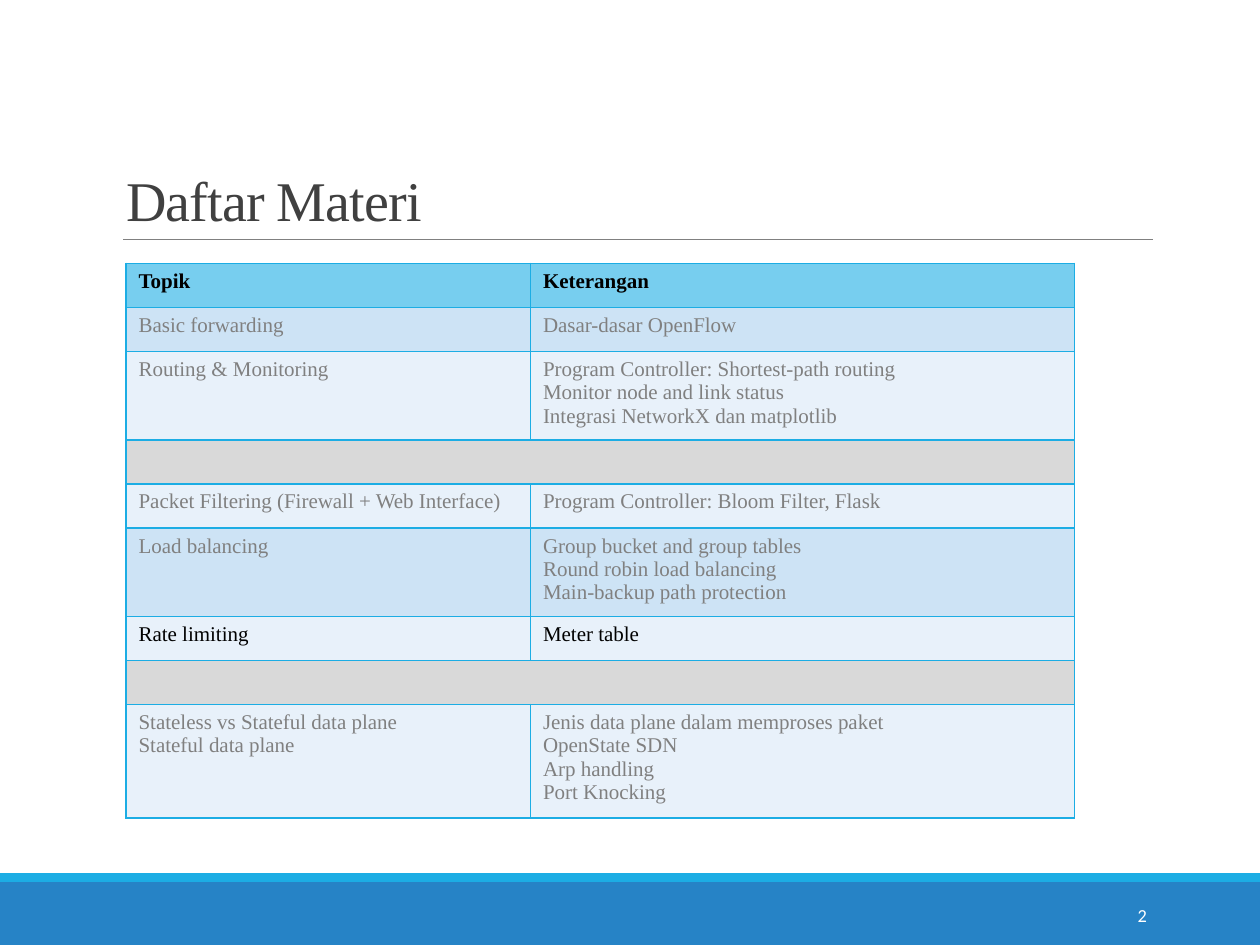
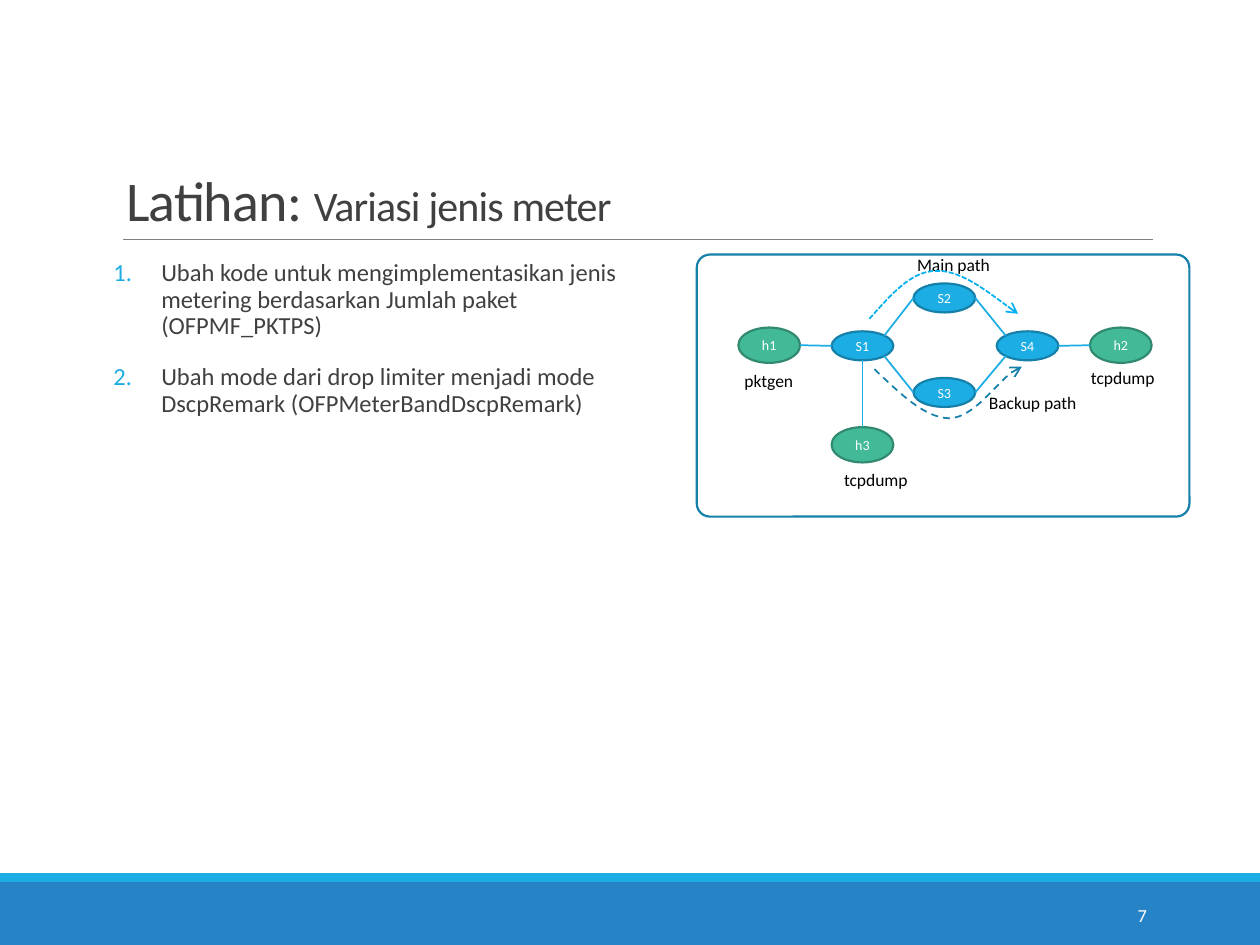
from typing import NamedTuple

from lxml.etree import SubElement
from pptx import Presentation
from pptx.dml.color import RGBColor
from pptx.enum.dml import MSO_LINE
from pptx.enum.shapes import MSO_CONNECTOR, MSO_SHAPE
from pptx.enum.text import MSO_ANCHOR, MSO_AUTO_SIZE, PP_ALIGN
from pptx.oxml.ns import qn
from pptx.util import Inches, Pt

BLUE, SKY, TEAL = "2683C6", "1CADE4", "42BA97"
DEEP_BLUE, DEEP_TEAL, PATH_BLUE = "1580A9", "318A70", "00B0F0"
DARK, GRAY, BLACK, WHITE = "404040", "808080", "000000", "FFFFFF"
HEADER_FILL, BAND_FILL, PALE_FILL, BREAK_FILL = "77CEEF", "CDE3F5", "E8F1FA", "D9D9D9"
SANS, SERIF = "Calibri", "Times New Roman"
DIAGONAL = 0.707
SITES = {
    "left": (-1, 0), "right": (1, 0), "bottom": (0, 1), "top": (0, -1),
    "upper left": (-DIAGONAL, -DIAGONAL), "upper right": (DIAGONAL, -DIAGONAL),
    "lower left": (-DIAGONAL, DIAGONAL), "lower right": (DIAGONAL, DIAGONAL),
}


class Span(NamedTuple):
    text: str
    size: float
    font: str = SANS


class Topic(NamedTuple):
    names: list[str]
    details: list[str]
    fill: str
    color: str = GRAY
    bold: bool = False


class Node(NamedTuple):
    name: str
    left: float
    top: float
    width: float = 0.49
    height: float = 0.23
    fill: str = SKY
    line: str = DEEP_BLUE

    def site(self, side: str) -> tuple[float, float]:
        across, down = SITES[side]
        return (self.left + self.width * (1 + across) / 2,
                self.top + self.height * (1 + down) / 2)


class Link(NamedTuple):
    start: str
    start_side: str
    end: str
    end_side: str


class Label(NamedTuple):
    text: str
    left: float
    top: float
    width: float


class Route(NamedTuple):
    points: list[tuple[float, float]]
    color: str
    dash: MSO_LINE


TOPICS = [
    Topic(["Topik"], ["Keterangan"], HEADER_FILL, BLACK, True),
    Topic(["Basic forwarding"], ["Dasar-dasar OpenFlow"], BAND_FILL),
    Topic(["Routing & Monitoring"],
          ["Program Controller: Shortest-path routing", "Monitor node and link status",
           "Integrasi NetworkX dan matplotlib"], PALE_FILL),
    Topic([], [], BREAK_FILL),
    Topic(["Packet Filtering (Firewall + Web Interface)"],
          ["Program Controller: Bloom Filter, Flask"], PALE_FILL),
    Topic(["Load balancing"],
          ["Group bucket and group tables", "Round robin load balancing",
           "Main-backup path protection"], BAND_FILL),
    Topic(["Rate limiting"], ["Meter table"], PALE_FILL, BLACK),
    Topic([], [], BREAK_FILL),
    Topic(["Stateless vs Stateful data plane", "Stateful data plane"],
          ["Jenis data plane dalam memproses paket", "OpenState SDN", "Arp handling",
           "Port Knocking"], PALE_FILL),
]
TASKS = [
    "Ubah kode untuk mengimplementasikan jenis metering berdasarkan Jumlah paket (OFPMF_PKTPS)",
    "Ubah mode dari drop limiter menjadi mode DscpRemark (OFPMeterBandDscpRemark)",
]
HOST = {"height": 0.28, "fill": TEAL, "line": DEEP_TEAL}
NODES = [
    Node("S1", 6.6, 2.63), Node("S2", 7.25, 2.25), Node("S3", 7.25, 3), Node("S4", 7.91, 2.63),
    Node("h1", 5.86, 2.6, **HOST), Node("h2", 8.65, 2.6, **HOST), Node("h3", 6.6, 3.39, **HOST),
]
LINKS = [
    Link("S1", "left", "h1", "right"), Link("S1", "upper right", "S2", "left"),
    Link("S1", "lower right", "S3", "left"), Link("S4", "upper left", "S2", "right"),
    Link("S4", "lower left", "S3", "right"), Link("h2", "left", "S4", "right"),
    Link("S1", "bottom", "h3", "top"),
]
LABELS = [
    Label("tcpdump", 6.6, 3.67, 0.72), Label("tcpdump", 8.56, 2.86, 0.72),
    Label("pktgen", 5.81, 2.89, 0.6), Label("Main path", 7.18, 1.97, 0.79),
    Label("Backup path", 7.75, 3.06, 0.91),
]
ROUTES = [
    Route([(6.9, 2.53), (7.07, 2.34), (7.23, 2.15), (7.43, 2.15),
           (7.63, 2.14), (7.96, 2.41), (8.08, 2.49)], PATH_BLUE, MSO_LINE.SQUARE_DOT),
    Route([(6.94, 2.93), (7.14, 3.12), (7.34, 3.32), (7.54, 3.32),
           (7.73, 3.31), (7.98, 2.94), (8.11, 2.91)], DEEP_BLUE, MSO_LINE.DASH),
]


def rgb(value: str) -> RGBColor:
    return RGBColor.from_string(value)


def add_span(para, text: str, *, size: float, color: str, font: str = SANS,
             bold: bool = False, spacing: int | None = None) -> None:
    span = para.add_run()
    span.text = text
    span.font.size, span.font.name, span.font.bold = Pt(size), font, bold
    span.font.color.rgb = rgb(color)
    if spacing is not None:
        span.font._element.set("spc", str(spacing))


def write_lines(frame, lines: list[str], *, align=PP_ALIGN.LEFT, **style) -> None:
    for index, line in enumerate(lines):
        para = frame.add_paragraph() if index else frame.paragraphs[0]
        para.alignment = align
        add_span(para, line, **style)


def add_box(page, left: float, top: float, width: float, height: float,
            wrap: bool = True):
    box = page.shapes.add_textbox(Inches(left), Inches(top), Inches(width), Inches(height))
    box.text_frame.word_wrap = wrap
    return box


def add_shape(page, kind, left: float, top: float, width: float, height: float, *,
              fill: str | None = None, line: str | None = None):
    shape = page.shapes.add_shape(kind, Inches(left), Inches(top), Inches(width), Inches(height))
    shape.shadow.inherit = False
    if fill:
        shape.fill.solid()
        shape.fill.fore_color.rgb = rgb(fill)
    else:
        shape.fill.background()
    if line:
        shape.line.color.rgb = rgb(line)
        shape.line.width = Pt(1.25)
    else:
        shape.line.fill.background()
    return shape


def add_line(page, start: tuple[float, float], end: tuple[float, float],
             color: str, width: float) -> None:
    line = page.shapes.add_connector(MSO_CONNECTOR.STRAIGHT,
                                     *(Inches(value) for value in (*start, *end)))
    line.line.color.rgb = rgb(color)
    line.line.width = Pt(width)
    SubElement(line._element.spPr, qn("a:effectLst"))


def add_page(deck, number: int, title_spans: list[Span]):
    page = deck.slides.add_slide(deck.slide_layouts[5])
    add_shape(page, MSO_SHAPE.RECTANGLE, 0, 7, 10, 0.5, fill=BLUE)
    add_shape(page, MSO_SHAPE.RECTANGLE, 0, 6.93, 10, 0.07, fill=SKY)
    add_line(page, (0.98, 1.9), (9.15, 1.9), GRAY, 0.5)
    title = page.shapes.title
    title.left, title.top = Inches(0.9), Inches(0.31)
    title.width, title.height = Inches(8.25), Inches(1.59)
    frame = title.text_frame
    frame.vertical_anchor, frame.auto_size = MSO_ANCHOR.BOTTOM, MSO_AUTO_SIZE.NONE
    para = frame.paragraphs[0]
    para.alignment, para.line_spacing = PP_ALIGN.LEFT, 0.85
    for span in title_spans:
        add_span(para, span.text, size=span.size, font=span.font, color=DARK, spacing=-50)
    footer = add_box(page, 8.12, 7.06, 1.08, 0.4).text_frame
    footer.vertical_anchor = MSO_ANCHOR.MIDDLE
    write_lines(footer, [str(number)], align=PP_ALIGN.RIGHT, size=10.5, color=WHITE)
    return page


def add_borders(cell) -> None:
    properties = cell._tc.get_or_add_tcPr()
    for index, side in enumerate(("lnL", "lnR", "lnT", "lnB")):
        border = SubElement(properties, qn(f"a:{side}"), w=str(Pt(1)))
        fill = SubElement(border, qn("a:solidFill"))
        SubElement(fill, qn("a:srgbClr"), val=SKY)
        properties.insert(index, border)


def add_topic_table(page) -> None:
    table = page.shapes.add_table(len(TOPICS), 2, Inches(1), Inches(2.09), Inches(7.53),
                                  Inches(0.35 * len(TOPICS))).table
    table.first_row = table.horz_banding = False
    table.columns[0].width, table.columns[1].width = Inches(3.21), Inches(4.32)
    for index, topic in enumerate(TOPICS):
        table.rows[index].height = Inches(0.35)
        for column, lines in enumerate((topic.names, topic.details)):
            cell = table.cell(index, column)
            cell.fill.solid()
            cell.fill.fore_color.rgb = rgb(topic.fill)
            add_borders(cell)
            write_lines(cell.text_frame, lines, size=12, font=SERIF,
                        color=topic.color, bold=topic.bold)
            if not lines:
                para = cell.text_frame.paragraphs[0]
                SubElement(para._p, qn("a:endParaRPr"), sz="1200")
        if not topic.names:
            table.cell(index, 0).merge(table.cell(index, 1))


def add_task_list(page) -> None:
    frame = add_box(page, 0.9, 2.02, 4.09, 4.4).text_frame
    frame.margin_left = frame.margin_right = 0
    write_lines(frame, TASKS, size=14, color=DARK)
    for para in frame.paragraphs:
        para.line_spacing, para.space_before, para.space_after = 0.9, Pt(12), Pt(2)
        properties = para._p.get_or_add_pPr()
        properties.set("marL", str(Inches(0.38)))
        properties.set("indent", str(-Inches(0.38)))
        color = SubElement(properties, qn("a:buClr"))
        SubElement(color, qn("a:srgbClr"), val=SKY)
        SubElement(properties, qn("a:buFont"), typeface="+mj-lt")
        SubElement(properties, qn("a:buAutoNum"), type="arabicPeriod")


def add_node(page, node: Node) -> None:
    shape = add_shape(page, MSO_SHAPE.OVAL, node.left, node.top, node.width, node.height,
                      fill=node.fill, line=node.line)
    frame = shape.text_frame
    frame.word_wrap, frame.vertical_anchor = False, MSO_ANCHOR.MIDDLE
    frame.margin_left = frame.margin_right = frame.margin_top = frame.margin_bottom = 0
    write_lines(frame, [node.name], align=PP_ALIGN.CENTER, size=8, color=WHITE)


def add_route(page, route: Route) -> None:
    start, *points = [(Inches(x), Inches(y)) for x, y in route.points]
    builder = page.shapes.build_freeform(*start)
    builder.add_line_segments(points, close=False)
    shape = builder.convert_to_shape()
    shape.shadow.inherit = False
    shape.fill.background()
    shape.line.color.rgb = rgb(route.color)
    shape.line.width, shape.line.dash_style = Pt(1), route.dash
    SubElement(shape.line._get_or_add_ln(), qn("a:tailEnd"), type="arrow")
    outline = next(shape._element.iter(qn("a:path")))
    segments = outline.findall(qn("a:lnTo"))
    for first in range(0, len(segments), 3):
        curve = SubElement(outline, qn("a:cubicBezTo"))
        for segment in segments[first:first + 3]:
            curve.append(segment[0])
            outline.remove(segment)


def add_network(page) -> None:
    panel = add_shape(page, MSO_SHAPE.ROUNDED_RECTANGLE, 5.53, 2.02, 3.91, 2.08, line=DEEP_BLUE)
    panel.adjustments[0] = 0.05
    nodes = {node.name: node for node in NODES}
    for node in NODES:
        add_node(page, node)
    for link in LINKS:
        add_line(page, nodes[link.start].site(link.start_side),
                 nodes[link.end].site(link.end_side), SKY, 1)
    for label in LABELS:
        box = add_box(page, label.left, label.top, label.width, 0.27, wrap=False)
        write_lines(box.text_frame, [label.text], size=10, color=BLACK)
    for route in ROUTES:
        add_route(page, route)


def main() -> None:
    deck = Presentation()
    deck.slide_width, deck.slide_height = Inches(10), Inches(7.5)
    add_topic_table(add_page(deck, 2, [Span("Daftar Materi", 32, SERIF)]))
    exercise = add_page(deck, 7, [Span("Latihan: ", 32), Span("Variasi jenis meter", 24)])
    add_task_list(exercise)
    add_network(exercise)
    deck.save("out.pptx")


if __name__ == "__main__":
    main()
